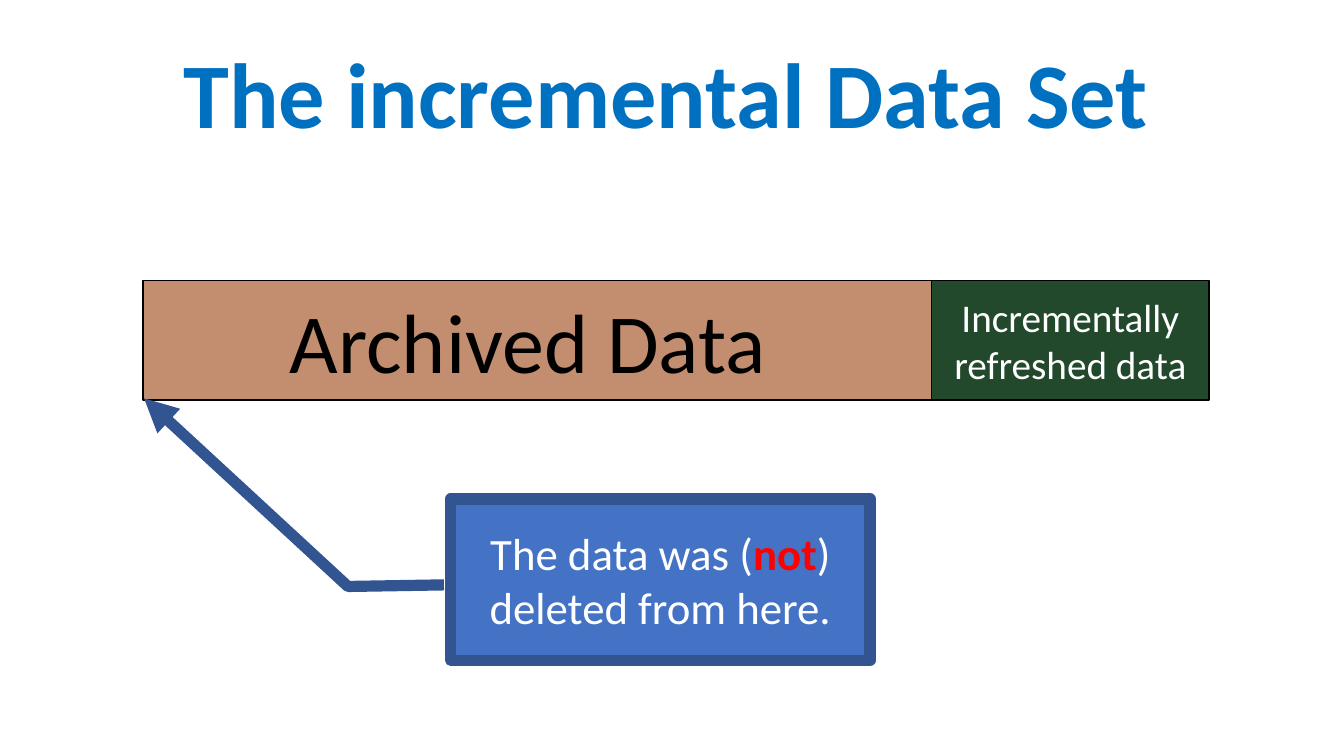
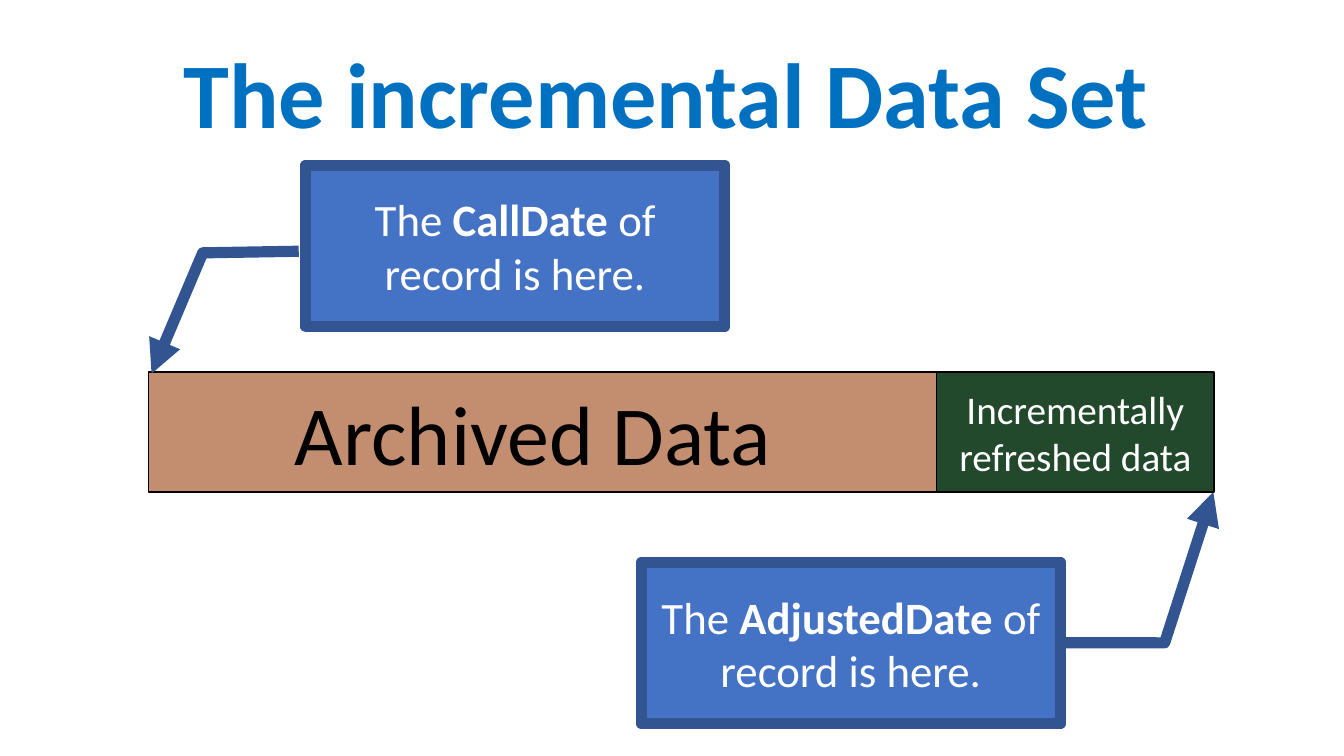
from lxml import etree
from pptx import Presentation
from pptx import util as u
from pptx.dml.color import RGBColor
from pptx.enum import shapes, text
from pptx.oxml import ns

PX = 9144
FONT = "Calibri"
BLACK, WHITE, RED = "000000", "FFFFFF", "FF0000"
TITLE = "The incremental Data Set"
TITLE_BOX = (172, 31, 1008, 121)
TITLE_INK = "0070C0"
NOTE_FILL, NOTE_LINE = "4472C4", "325491"
NOTE_W, NOTE_H = 416, 160
BAR_H = 119
PARTS = [
    ("Archived Data ", 782, "C38E6F", BLACK, 60),
    ("Incrementally refreshed data", 275, "22492C", WHITE, 28),
]
SLIDES = [
    {
        "bar": (142, 278),
        "notes": [
            ((447, 495),
             [("The data was (", None), ("not", RED), (") deleted from here.", None)],
             (0.533, -0.016, 0.543, -0.245, -0.624, -0.731)),
        ],
    },
    {
        "bar": (147, 369),
        "notes": [
            ((303, 164),
             [("The ", None), ("CallDate ", WHITE), ("of record is here.", None)],
             (0.533, -0.016, 0.543, -0.245, 1.292, -0.367)),
            ((636, 558),
             [("The ", None), ("AdjustedDate ", WHITE), ("of record is here.", None)],
             (0.498, 0.999, 0.499, 1.248, -0.437, 1.364)),
        ],
    },
]


def color(code):
    return RGBColor.from_string(code)


def style(para, size, ink, bold=False):
    font = para.font
    font.name, font.size, font.bold = FONT, u.Pt(size), bold
    font.color.rgb = color(ink)


def add_box(slide, kind, box, fill, line, width):
    shape = slide.shapes.add_shape(kind, *(n * PX for n in box))
    shape.shadow.inherit = False
    shape.fill.solid()
    shape.fill.fore_color.rgb = color(fill)
    shape.line.color.rgb = color(line)
    shape.line.width = u.Pt(width)
    para = shape.text_frame.paragraphs[0]
    para.alignment = text.PP_ALIGN.CENTER
    return shape, para


def add_title(slide):
    title = slide.shapes.title
    title.left, title.top, title.width, title.height = (n * PX for n in TITLE_BOX)
    frame = title.text_frame
    frame.text = TITLE
    frame.word_wrap = False
    frame.auto_size = text.MSO_AUTO_SIZE.NONE
    frame.vertical_anchor = text.MSO_ANCHOR.TOP
    para = frame.paragraphs[0]
    para.alignment = text.PP_ALIGN.LEFT
    style(para, 66, TITLE_INK, True)


def add_bar(slide, left, top):
    for label, width, fill, ink, size in PARTS:
        box = (left, top, width, BAR_H)
        _, para = add_box(slide, shapes.MSO_SHAPE.RECTANGLE, box, fill, BLACK, 1)
        para.add_run().text = label
        style(para, size, ink)
        left += width


def add_note(slide, spot, runs, bends):
    shape, para = add_box(slide, shapes.MSO_SHAPE.LINE_CALLOUT_2,
                          (*spot, NOTE_W, NOTE_H), NOTE_FILL, NOTE_LINE, 8)
    for i, bend in enumerate(bends):
        shape.adjustments[i] = bend
    line = shape.element.spPr.find(ns.qn("a:ln"))
    etree.SubElement(line, ns.qn("a:tailEnd"), type="triangle")
    style(para, 32, WHITE)
    for words, accent in runs:
        run = para.add_run()
        run.text = words
        if accent:
            run.font.bold = True
            run.font.color.rgb = color(accent)


def main():
    deck = Presentation()
    deck.slide_width, deck.slide_height = u.Inches(13.33), u.Inches(7.5)
    for data in SLIDES:
        slide = deck.slides.add_slide(deck.slide_layouts[5])
        add_title(slide)
        add_bar(slide, *data["bar"])
        for note in data["notes"]:
            add_note(slide, *note)
    deck.save("out.pptx")


if __name__ == "__main__":
    main()
